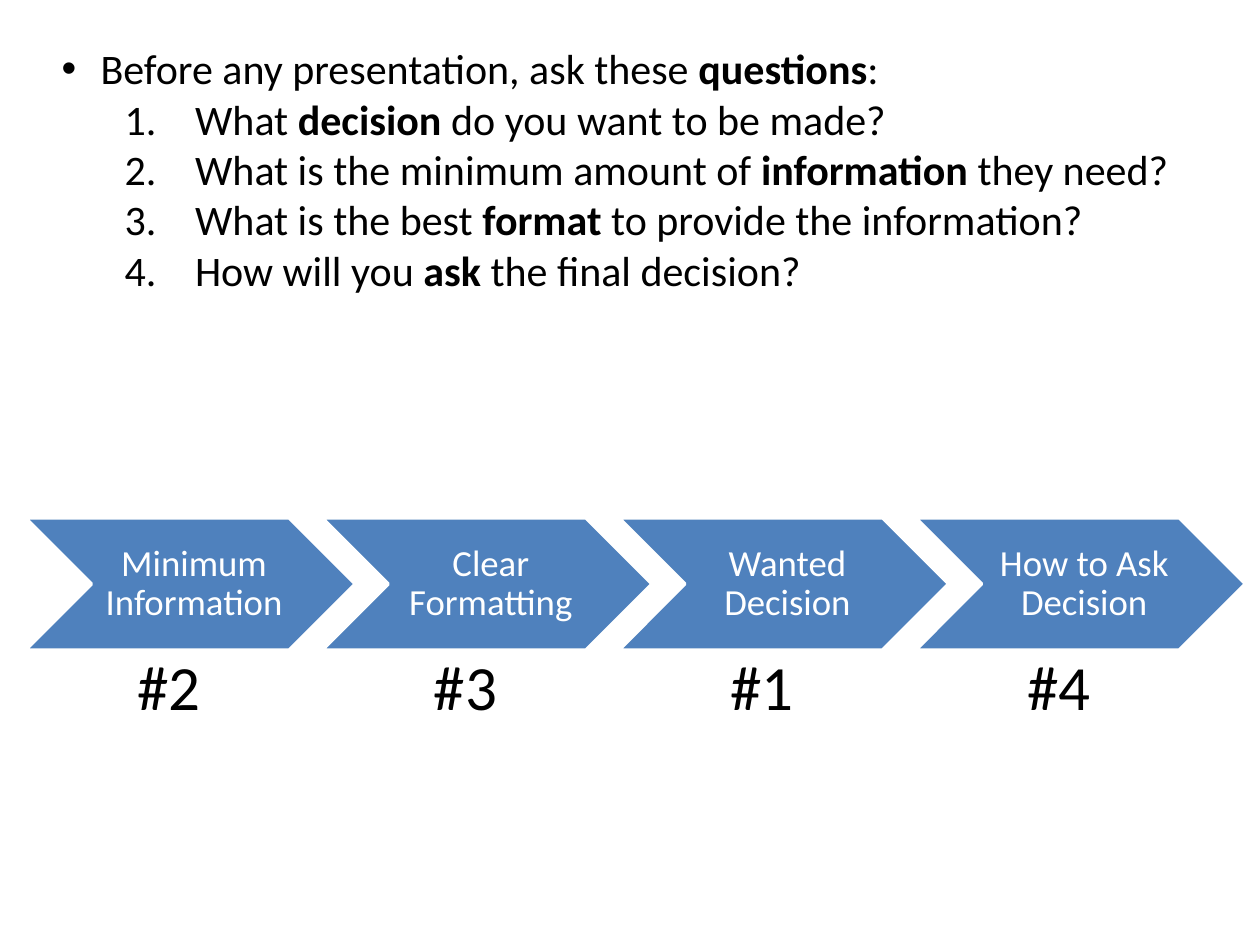
from dataclasses import dataclass

from lxml import etree
from pptx import Presentation
from pptx import util as u
from pptx.dml.color import RGBColor
from pptx.enum import shapes, text
from pptx.oxml.ns import qn


@dataclass(frozen=True)
class Theme:
    font: str = "Calibri"
    ink: str = "000000"
    paper: str = "FFFFFF"
    accent: str = "4F81BD"
    list_size: int = 24
    step_size: int = 21
    number_size: int = 36


class Board:
    """One slide on a grid of 100 columns by 75 rows."""

    COLS, ROWS = 100, 75

    def __init__(self, deck, theme):
        self.theme = theme
        self.cell_w = deck.slide_width / self.COLS
        self.cell_h = deck.slide_height / self.ROWS
        self.slide = deck.slides.add_slide(deck.slide_layouts[6])

    def place(self, col, row, cols, rows):
        return (round(col * self.cell_w), round(row * self.cell_h),
                round(cols * self.cell_w), round(rows * self.cell_h))

    def style(self, paragraph, size, color):
        paragraph.font.name = self.theme.font
        paragraph.font.size = u.Pt(size)
        paragraph.font.color.rgb = RGBColor.from_string(color)

    def marker(self, paragraph, left, hanging, tag, **settings):
        props = paragraph._p.get_or_add_pPr()
        props.set("marL", str(u.Inches(left)))
        props.set("indent", str(-u.Inches(hanging)))
        etree.SubElement(props, qn("a:buFont")).set("typeface", "Arial" if tag == "a:buChar" else "+mj-lt")
        mark = etree.SubElement(props, qn(tag))
        for key, value in settings.items():
            mark.set(key, value)

    def text_box(self, *cells):
        frame = self.slide.shapes.add_textbox(*self.place(*cells)).text_frame
        frame.word_wrap = True
        return frame

    def questions(self, intro, items, *cells):
        frame = self.text_box(*cells)
        for index, parts in enumerate([intro, *items]):
            line = frame.paragraphs[0] if index == 0 else frame.add_paragraph()
            if index == 0:
                self.marker(line, 0.31, 0.31, "a:buChar", char="•")
            else:
                line.level = 1
                self.marker(line, 1.06, 0.56, "a:buAutoNum", type="arabicPeriod")
            self.style(line, self.theme.list_size, self.theme.ink)
            for position, words in enumerate(parts):
                run = line.add_run()
                run.text = words
                if position == 1:
                    run.font.bold = True

    def chevron(self, label, *cells):
        step = self.slide.shapes.add_shape(shapes.MSO_SHAPE.CHEVRON, *self.place(*cells))
        step.shadow.inherit = False
        step.fill.solid()
        step.fill.fore_color.rgb = RGBColor.from_string(self.theme.accent)
        step.line.color.rgb = RGBColor.from_string(self.theme.paper)
        step.line.width = u.Pt(2)
        frame = step.text_frame
        frame.word_wrap = True
        frame.vertical_anchor = text.MSO_ANCHOR.MIDDLE
        frame.margin_left = u.Inches(0.09)
        frame.margin_right = frame.margin_top = frame.margin_bottom = u.Inches(0.03)
        line = frame.paragraphs[0]
        line.text = label
        line.alignment = text.PP_ALIGN.CENTER
        line.line_spacing = 0.9
        self.style(line, self.theme.step_size, self.theme.paper)

    def number(self, label, *cells):
        line = self.text_box(*cells).paragraphs[0]
        line.text = label
        self.style(line, self.theme.number_size, self.theme.ink)


deck = Presentation()
deck.slide_width, deck.slide_height = u.Inches(10), u.Inches(7.5)
board = Board(deck, Theme())

# Questions, with the key word of each in second place
board.questions(
    ("Before any presentation, ask these ", "questions", ":"),
    [
        ("What ", "decision", " do you want to be made?"),
        ("What is the minimum amount of ", "information ", "they need?"),
        ("What is the best ", "format", " to provide the information?"),
        ("How will you ", "ask ", "the final decision?"),
    ],
    3.9, 2.9, 92.1, 21.2,
)

# Process steps, each with the number of its question
steps = [
    ("Minimum Information", 2),
    ("Clear Formatting", 3),
    ("Wanted\vDecision", 1),
    ("How to Ask Decision", 4),
]
FIRST_COL, PITCH = 2, 23.55
for index, (step, question) in enumerate(steps):
    col = FIRST_COL + index * PITCH
    board.chevron(step, col, 41.1, 26.2, 10.5)
    board.number(f"#{question}", col + 7.9, 50.9, 8.6, 7.1)

deck.save("out.pptx")
